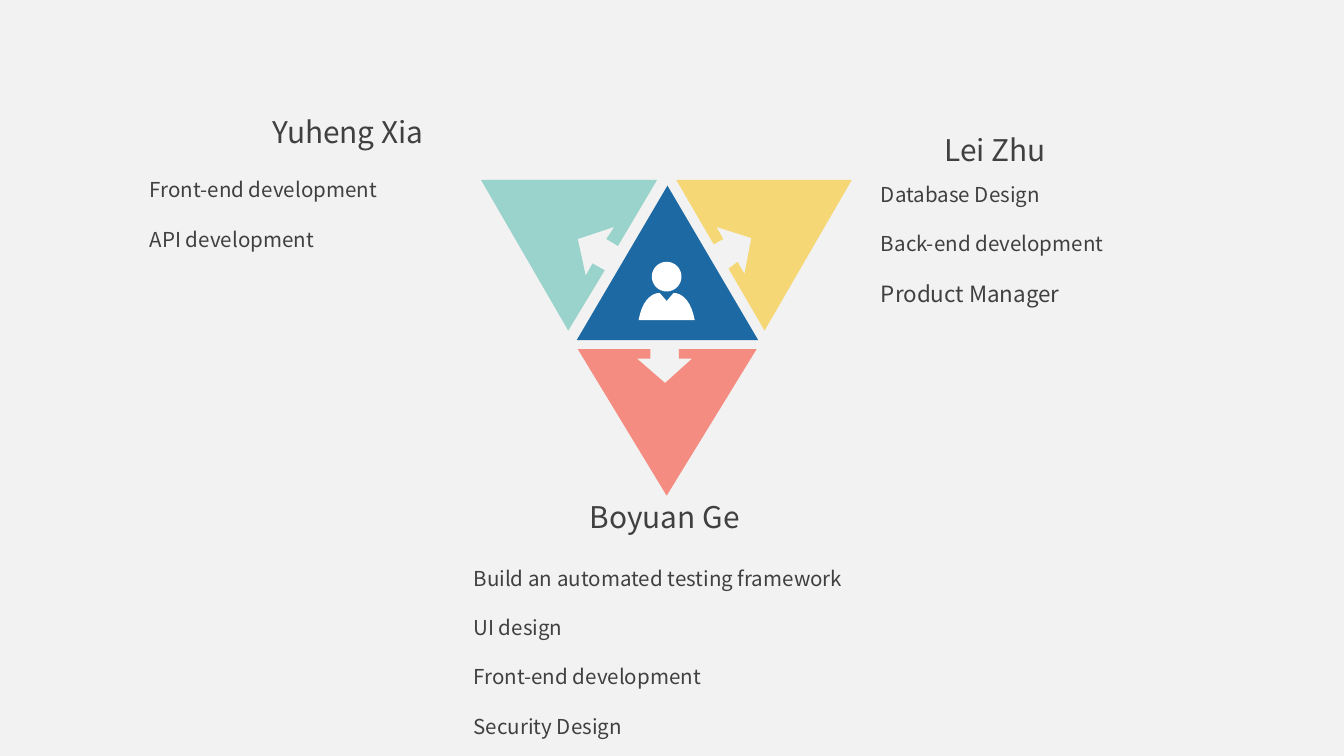
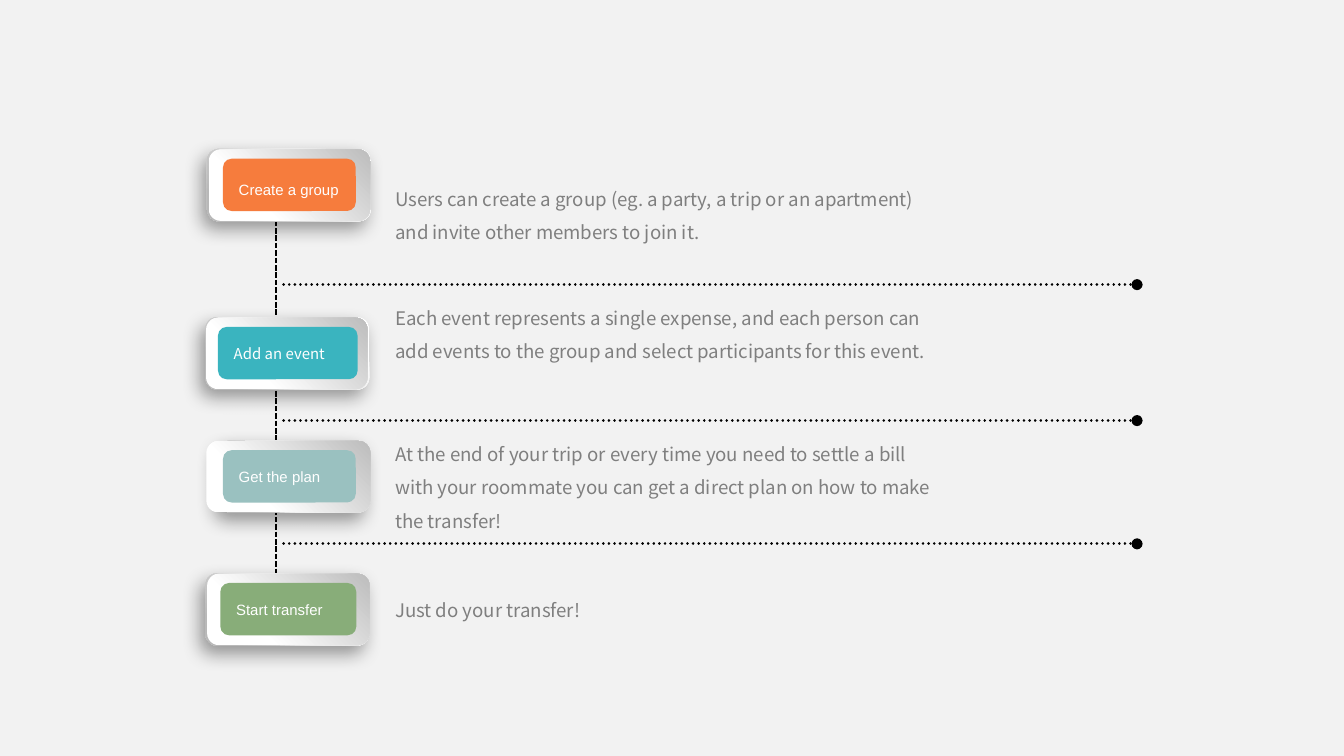
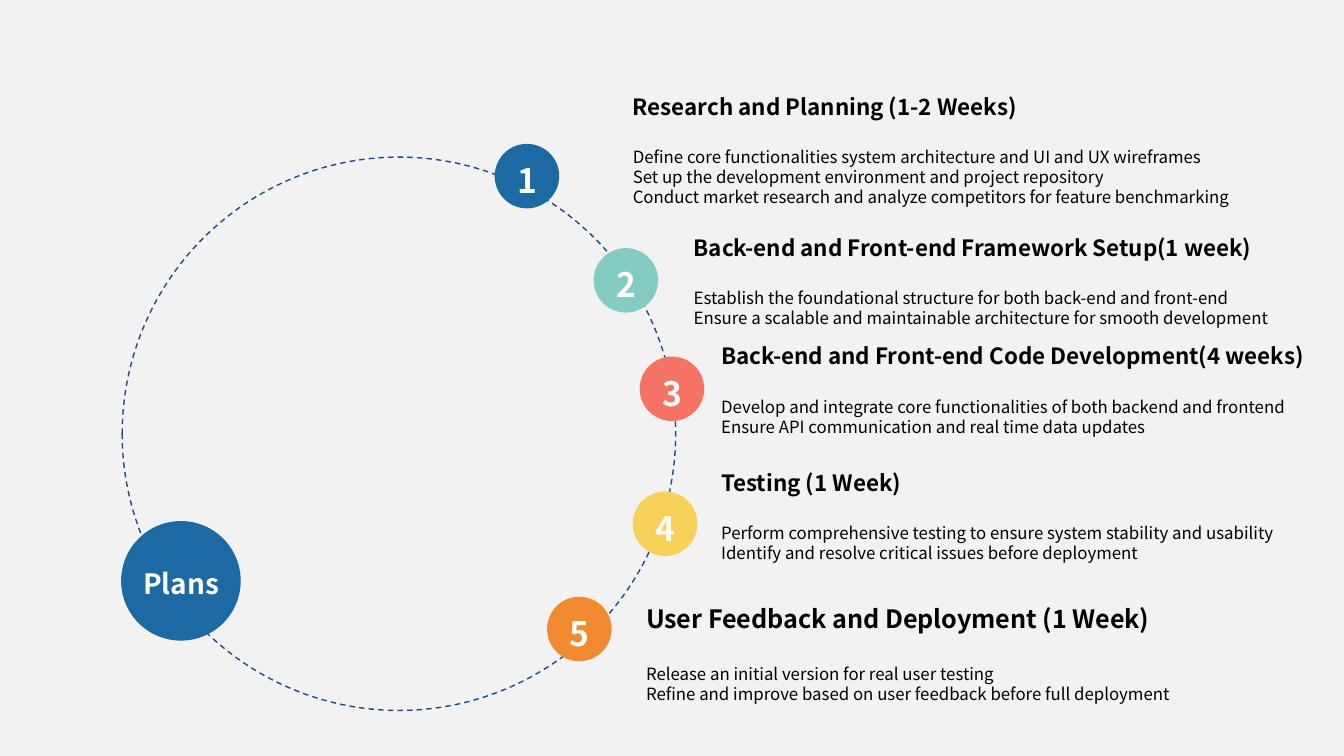
import math

import pptx
import pptx.dml.color
import pptx.enum.dml
import pptx.enum.shapes
import pptx.enum.text
import pptx.oxml
import pptx.oxml.ns
import pptx.util
from pptx.util import Cm, Pt

SANS = "Noto Sans CJK SC"
ARIAL = "Arial"
BACKGROUND, WHITE, BLACK = "F2F2F2", "FFFFFF", "000000"
DARK, GREY = "404040", "7F7F7F"
BLUE, TEAL, RED, YELLOW, ORANGE = "1D69A3", "84CBC3", "F57365", "F8D158", "F18B32"
SHAPES = pptx.enum.shapes.MSO_SHAPE
ANCHOR = pptx.enum.text.MSO_ANCHOR
CENTER = pptx.enum.text.PP_ALIGN.CENTER
DASH = pptx.enum.dml.MSO_LINE

# All positions and sizes below are in centimetres.

# Team: name, name position, tasks with sizes, task box
MEMBERS = [
    ("Yuheng Xia", (4.9, 2.03),
     [("Front-end development", 11), ("API development", 11)], (2.58, 3.23, 6.5, 3.07)),
    ("Lei Zhu", (17.6, 2.36),
     [("Database Design", 11), ("Back-end development", 11), ("Product Manager", 12)],
     (16.4, 3.31, 8.99, 2.64)),
    ("Boyuan Ge", (10.9, 9.3),
     [("Build an automated testing framework", 11), ("UI design", 11),
      ("Front-end development", 11), ("Security Design", 11)], (8.7, 10.57, 12.75, 3.56)),
]
NOTCHED_TRIANGLES = [
    (RED, [(12.6, 9.37), (14.3, 6.6), (12.83, 6.6), (12.83, 6.78), (13.08, 6.78),
           (12.57, 7.24), (12.04, 6.78), (12.29, 6.78), (12.29, 6.6), (10.92, 6.6)]),
    (YELLOW, [(14.45, 6.25), (16.1, 3.4), (12.78, 3.4), (13.49, 4.62), (13.67, 4.52),
              (13.54, 4.29), (14.2, 4.5), (14.07, 5.18), (13.94, 4.95), (13.77, 5.08)]),
    (TEAL, [(10.74, 6.25), (11.43, 5.11), (11.2, 4.98), (11.07, 5.21), (10.92, 4.52),
            (11.61, 4.29), (11.46, 4.52), (11.68, 4.65), (12.42, 3.4), (9.09, 3.4)]),
]

# Workflow: label, font, line spacing, colour, middle height,
# then (middle x, length) of plate, of its face and of the button
STEPS = [
    ("Create a group", ARIAL, 1.5, "F67C3D", 3.5, (5.46, 3.1), (5.47, 3.05), (5.47, 2.51)),
    ("Add an event", SANS, 1, "3AB4BF", 6.68, (5.43, 3.1), (5.42, 3.05), (5.44, 2.64)),
    ("Get the plan", ARIAL, 1, "9AC1C0", 9.01, (5.56, 2.82), (5.45, 3.1), (5.47, 2.51)),
    ("Start transfer", ARIAL, 1, "88AD79", 11.52, (5.43, 3.1), (5.45, 3.07), (5.45, 2.57)),
]
EXPLANATIONS = [
    (3.23, 1.65, "Users can create a group (eg. a party, a trip or an apartment) "
                 "and invite other members to join it."),
    (5.48, 2.11, "Each event represents a single expense, and each person can "
                 "add events to the group and select participants for this event."),
    (8.05, 2.11, "At the end of your trip or every time you need to settle a bill "
                 "with your roommate you can get a direct plan on how to make the transfer!"),
    (11.01, 0.84, "Just do your transfer!"),
]
DIVIDERS = [5.38, 7.95, 10.28]

# Plan: circle colour, circle position, text box, title size, title, details
PHASES = [
    (BLUE, (9.35, 2.72), (11.71, 1.63, 12.29, 2.44), 12, "Research and Planning (1-2 Weeks)",
     ["Define core functionalities system architecture and UI and UX wireframes",
      "Set up the development environment and project repository",
      "Conduct market research and analyze competitors for feature benchmarking"]),
    (TEAL, (11.22, 4.69), (12.86, 4.3, 12.29, 2.06), 12,
     "Back-end and Front-end Framework Setup(1 week)",
     ["Establish the foundational structure for both back-end and front-end",
      "Ensure a scalable and maintainable architecture for smooth development"]),
    (RED, (12.09, 6.74), (13.38, 6.35, 12.01, 2.06), 12,
     "Back-end and Front-end Code Development(4 weeks)",
     ["Develop and integrate core functionalities of both backend and frontend",
      "Ensure API communication and real time data updates"]),
    (YELLOW, (11.96, 9.29), (13.38, 8.74, 11.48, 2.06), 12, "Testing (1 Week)",
     ["Perform comprehensive testing to ensure system stability and usability",
      "Identify and resolve critical issues before deployment"]),
    (ORANGE, (10.34, 11.28), (11.96, 11.28, 12.47, 2.84), 13.5,
     "User Feedback and Deployment (1 Week)",
     ["Release an initial version for real user testing",
      "Refine and improve based on user feedback before full deployment"]),
]


def rgb(color):
    return pptx.dml.color.RGBColor.from_string(color)


def add_xml(parent, markup):
    namespace = pptx.oxml.ns.nsdecls("a")
    element = pptx.oxml.parse_xml(markup.replace(" ", f" {namespace} ", 1))
    parent.append(element)


def new_slide(presentation):
    slide = presentation.slides.add_slide(presentation.slide_layouts[6])
    slide.background.fill.solid()
    slide.background.fill.fore_color.rgb = rgb(BACKGROUND)
    return slide


def paint(shape, color):
    shape.shadow.inherit = False
    shape.fill.solid()
    shape.fill.fore_color.rgb = rgb(color)
    shape.line.fill.background()


def add_shape(slide, kind, box, color):
    shape = slide.shapes.add_shape(kind, *map(Cm, box))
    paint(shape, color)
    return shape


def write(frame, lines, color, font=SANS, align=None, spacing=None):
    """Fill a frame with (text, size, bold, space before) lines."""
    frame.word_wrap = True
    for index, (text, size, bold, before) in enumerate(lines):
        paragraph = frame.paragraphs[0] if index == 0 else frame.add_paragraph()
        paragraph.text = text
        paragraph.alignment = align
        paragraph.line_spacing = spacing
        paragraph.space_before = Pt(before)
        paragraph.font.name = font
        paragraph.font.size = Pt(size)
        paragraph.font.bold = bold
        paragraph.font.color.rgb = rgb(color)


def add_text(slide, box, lines, color, **options):
    frame = slide.shapes.add_textbox(*map(Cm, box)).text_frame
    write(frame, lines, color, **options)
    frame.auto_size = pptx.enum.text.MSO_AUTO_SIZE.SHAPE_TO_FIT_TEXT
    return frame


def add_outline(slide, contours, color):
    """Draw closed contours, each a list of points, as one shape."""
    builder = None
    for contour in contours:
        start, *rest = [(Cm(x), Cm(y)) for x, y in contour]
        if builder is None:
            builder = slide.shapes.build_freeform(*start)
        else:
            builder.move_to(*start)
        builder.add_line_segments(rest, close=True)
    shape = builder.convert_to_shape()
    paint(shape, color)
    return shape


def add_person(slide):
    middle, head_y, radius = 12.6, 5.23, 0.28
    head = [(middle + radius * math.cos(math.tau * i / 48),
             head_y + radius * math.sin(math.tau * i / 48)) for i in range(48)]
    collar, control, hem = (0.13, 5.54), (0.43, 5.51), (0.53, 6.05)
    shoulder = []
    for step in range(13):
        t = step / 12
        weights = ((1 - t) ** 3 + 3 * t * (1 - t) ** 2, 3 * t * t * (1 - t), t ** 3)
        shoulder.append(tuple(sum(w * p[axis] for w, p in zip(weights, (collar, control, hem)))
                              for axis in (0, 1)))
    left = [(middle - x, y) for x, y in shoulder]
    right = [(middle + x, y) for x, y in reversed(shoulder)]
    add_outline(slide, [head, [(middle, 5.69)] + left + right], WHITE)


def add_line(slide, start, end, width, dash):
    connector = slide.shapes.add_connector(pptx.enum.shapes.MSO_CONNECTOR.STRAIGHT,
                                           *map(Cm, start + end))
    connector.line.color.rgb = rgb(BLACK)
    connector.line.width = Pt(width)
    connector.line.dash_style = dash
    add_xml(connector._element.spPr, "<a:effectLst />")
    return connector


def add_divider(slide, y):
    """Add a line of round dots that ends in a larger dot."""
    divider = add_line(slide, (5.36, y), (21.49, y), 1.5, DASH.ROUND_DOT)
    outline = divider._element.spPr.find(pptx.oxml.ns.qn("a:ln"))
    outline.set("cap", "rnd")
    add_xml(outline, '<a:tailEnd type="oval"/>')


def add_plate(slide, x, y, length, thickness, rotation, stops):
    """Add an upright rounded bar with a gradient, turned to lie flat."""
    box = (x - thickness / 2, y - length / 2, thickness, length)
    plate = add_shape(slide, SHAPES.ROUNDED_RECTANGLE, box, WHITE)
    plate.rotation = rotation
    plate.fill.gradient()
    plate.fill.gradient_angle = 315
    for stop, (position, color) in zip(plate.fill.gradient_stops, stops):
        stop.position = position
        stop.color.rgb = rgb(color)
    return plate


def build_team(presentation):
    slide = new_slide(presentation)
    for color, points in NOTCHED_TRIANGLES:
        triangle = add_outline(slide, [points], color)
        color_element = triangle._element.spPr.find(".//" + pptx.oxml.ns.qn("a:srgbClr"))
        add_xml(color_element, '<a:alpha val="80000"/>')
    add_shape(slide, SHAPES.ISOSCELES_TRIANGLE, (10.9, 3.51, 3.43, 2.92), BLUE)
    add_person(slide)
    for name, position, tasks, box in MEMBERS:
        add_text(slide, position + (3.99, 0.94), [(name, 16, False, 0)], DARK)
        lines = [(task, size, False, 13.2 if index else 0)
                 for index, (task, size) in enumerate(tasks)]
        add_text(slide, box, lines, DARK)


def build_workflow(presentation):
    slide = new_slide(presentation)
    add_line(slide, (5.21, 4.17), (5.21, 11.76), 1, DASH.SQUARE_DOT)
    for y in DIVIDERS:
        add_divider(slide, y)
    for label, font, spacing, color, y, plate, face, button in STEPS:
        back = add_plate(slide, plate[0], y, plate[1], 1.37, 90, [(0.17, WHITE), (0.88, "B8B8B8")])
        effects = back._element.spPr.find(pptx.oxml.ns.qn("a:effectLst"))
        add_xml(effects, f'<a:outerShdw blurRad="{Pt(10)}" dist="{Pt(5)}" dir="{123 * 60000}" '
                         'algn="ctr" rotWithShape="0"><a:srgbClr val="000000">'
                         '<a:alpha val="39000"/></a:srgbClr></a:outerShdw>')
        add_plate(slide, face[0], y, face[1], 1.35, 270, [(0.29, WHITE), (0.98, "BFBFBF")])
        x, width = button
        shape = add_shape(slide, SHAPES.ROUNDED_RECTANGLE,
                          (x - width / 2, y - 0.5, width, 0.99), color)
        write(shape.text_frame, [(label, 8, False, 0)], WHITE, font=font, spacing=spacing,
              align=pptx.enum.text.PP_ALIGN.LEFT)
        shape.text_frame.vertical_anchor = ANCHOR.MIDDLE
    for top, height, text in EXPLANATIONS:
        frame = add_text(slide, (7.29, top, 10.69, height), [(text, 10, False, 0)], GREY,
                         spacing=1.5)
        frame.margin_left = frame.margin_right = Cm(0.18)
        frame.margin_top = frame.margin_bottom = Cm(0.1)


def build_plan(presentation):
    slide = new_slide(presentation)
    ring = add_shape(slide, SHAPES.OVAL, (2.31, 2.97, 10.46, 10.46), WHITE)
    ring.fill.background()
    ring.line.color.rgb = rgb("1C4885")
    ring.line.width = Pt(0)
    ring.line.dash_style = DASH.DASH
    for number, (color, position, box, size, title, details) in enumerate(PHASES, 1):
        circle = add_shape(slide, SHAPES.OVAL, position + (1.22, 1.22), color)
        write(circle.text_frame, [(str(number), 18, True, 0)], WHITE, align=CENTER)
        circle.text_frame.vertical_anchor = ANCHOR.TOP
        lines = [(title, size, True, 0)]
        lines += [(detail, 9, False, 0 if index else size * 1.2)
                  for index, detail in enumerate(details)]
        add_text(slide, box, lines, BLACK)
    add_shape(slide, SHAPES.OVAL, (2.29, 9.85, 2.26, 2.26), BLUE)
    label = add_text(slide, (2.46, 10.59, 1.93, 0.89), [("Plans", 15, True, 0)], WHITE,
                     align=CENTER)
    label.margin_left = label.margin_right = Cm(0)


def main():
    presentation = pptx.Presentation()
    presentation.slide_width = Cm(25.4)
    presentation.slide_height = Cm(14.29)
    build_team(presentation)
    build_workflow(presentation)
    build_plan(presentation)
    presentation.save("out.pptx")


if __name__ == "__main__":
    main()
